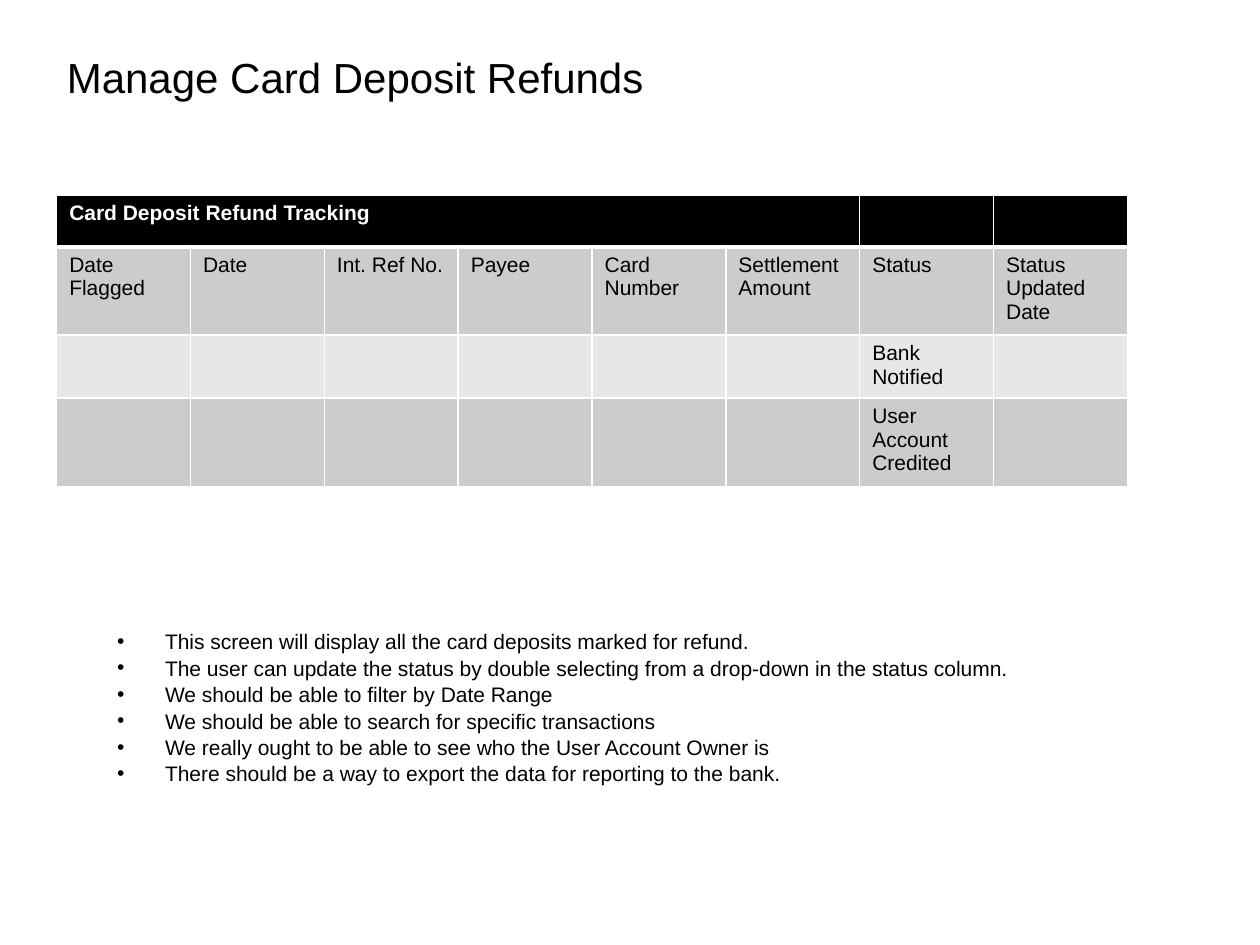
from pptx import Presentation
from pptx.dml.color import RGBColor as RGB
from pptx.enum.text import MSO_ANCHOR as ANCHOR, MSO_AUTO_SIZE as AUTO, PP_ALIGN as ALIGN
from pptx.oxml.ns import qn
from pptx.util import Inches, Pt
from lxml.etree import SubElement

C = {"black": "000000", "white": "FFFFFF", "dark": "CCCCCC", "light": "E7E7E7"}
FONT = "Arial"
TITLE = "Manage Card Deposit Refunds"
COLS, STATUS_COL, ROW_H = 8, 6, 0.41
ROWS = [
    ("black", {0: "Card Deposit Refund Tracking"}),
    ("dark", dict(enumerate([
        "Date Flagged", "Date", "Int. Ref No.", "Payee", "Card Number",
        "Settlement Amount", "Status", "Status Updated\nDate"]))),
    ("light", {STATUS_COL: "Bank Notified"}),
    ("dark", {STATUS_COL: "User Account Credited"}),
]
NOTES = [
    "This screen will display all the card deposits marked for refund.",
    "The user can update the status by double selecting from a drop-down in the status column.",
    "We should be able to filter by Date Range",
    "We should be able to search for specific transactions",
    "We really ought to be able to see who the User Account Owner is",
    "There should be a way to export the data for reporting to the bank.",
]


def place(sp, *box):
    sp.left, sp.top, sp.width, sp.height = map(Inches, box)
    tf = sp.text_frame
    tf.vertical_anchor = ANCHOR.TOP
    tf.auto_size = AUTO.SHAPE_TO_FIT_TEXT
    return tf


def write(tf, lines, size, color="black", bold=False):
    for i, line in enumerate(lines):
        p = tf.add_paragraph() if i else tf.paragraphs[0]
        p.alignment = ALIGN.LEFT
        p.space_before = Pt(0)
        r = p.add_run()
        r.text = line
        r.font.name, r.font.size, r.font.bold = FONT, Pt(size), bold
        r.font.color.rgb = RGB.from_string(C[color])


def add_borders(cell, bottom):
    tc_pr = cell._tc.get_or_add_tcPr()
    for i, side in enumerate(("lnL", "lnR", "lnT", "lnB")):
        ln = tc_pr.makeelement(qn(f"a:{side}"), {"w": str(Pt(bottom if side == "lnB" else 1))})
        fill = SubElement(ln, qn("a:solidFill"))
        SubElement(fill, qn("a:srgbClr"), val=C["white"])
        tc_pr.insert(i, ln)


def add_tracking_table(s):
    table = s.shapes.add_table(len(ROWS), COLS, Inches(0.45), Inches(1.55),
                               Inches(8.5), Inches(ROW_H * len(ROWS))).table
    for y, (fill, texts) in enumerate(ROWS):
        header = y == 0
        table.rows[y].height = Inches(ROW_H)
        for x in range(COLS):
            cell = table.cell(y, x)
            cell.fill.solid()
            cell.fill.fore_color.rgb = RGB.from_string(C[fill])
            add_borders(cell, 3 if header else 1)
            if x in texts:
                write(cell.text_frame, texts[x].split("\n"), 12,
                      "white" if header else "black", header)
    table.cell(0, 0).merge(table.cell(0, STATUS_COL - 1))


def main():
    prs = Presentation()
    prs.slide_width, prs.slide_height = Inches(10), Inches(7.5)
    s = prs.slides.add_slide(prs.slide_layouts[1])

    tf = place(s.shapes.title, 0.43, 0.36, 4.83, 0.5)
    tf.word_wrap = False
    write(tf, [TITLE], 24)

    add_tracking_table(s)

    tf = place(s.placeholders[1], 0.83, 4.93, 7.8, 1.31)
    tf.word_wrap = True
    write(tf, NOTES, 12)
    for p in tf.paragraphs:
        p.line_spacing = 1.05
        p_pr = p._p.get_or_add_pPr()
        p_pr.set("marL", str(Inches(0.38)))
        p_pr.set("indent", str(-Inches(0.38)))
        SubElement(p_pr, qn("a:buFont"), typeface=FONT)
        SubElement(p_pr, qn("a:buChar"), char="•")

    prs.save("out.pptx")


if __name__ == "__main__":
    main()
